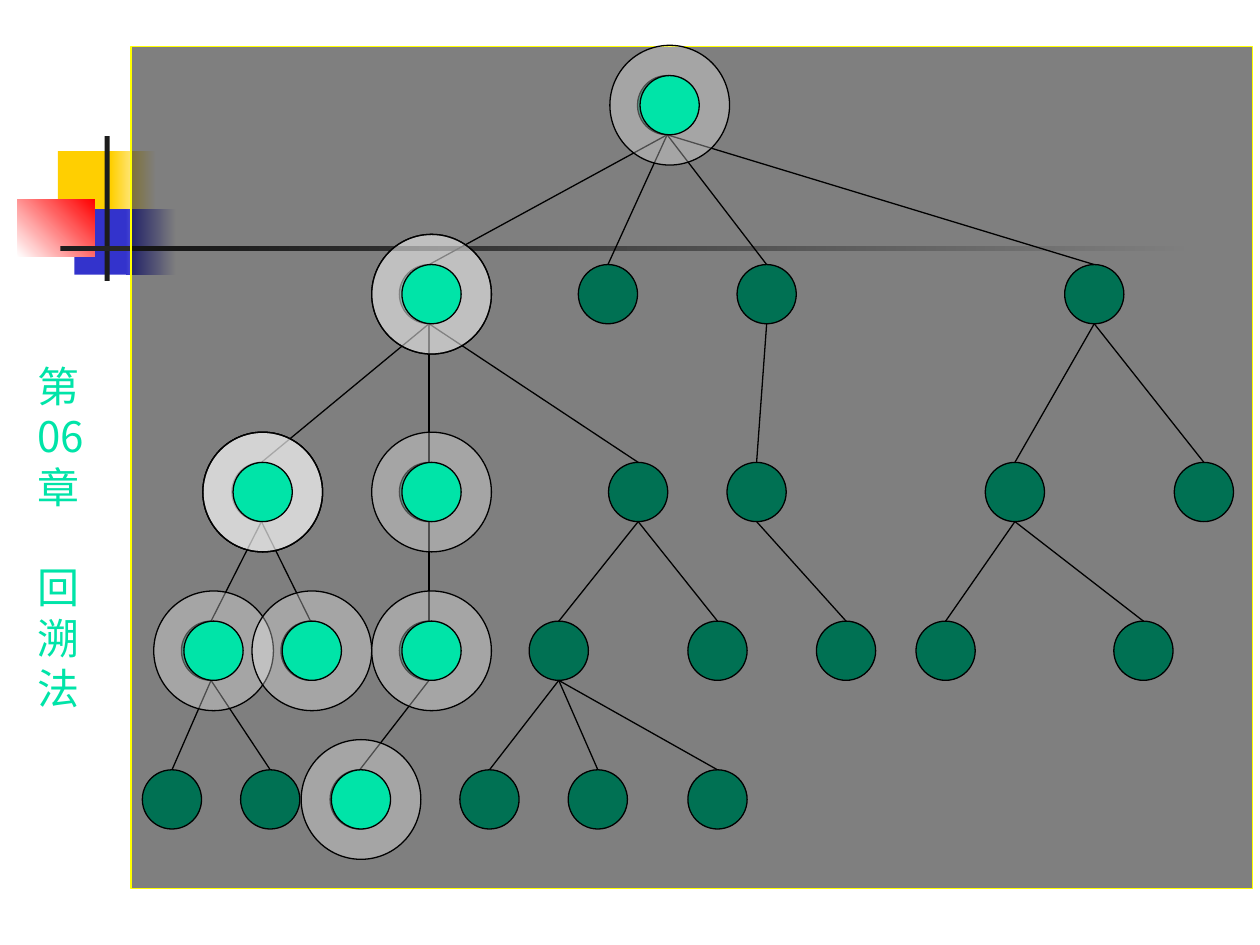
"""Build a backtracking search tree slide with the visited nodes highlighted."""
import lxml.etree
import pptx
import pptx.dml.color
import pptx.enum.shapes
import pptx.enum.text
import pptx.oxml.ns
import pptx.util

Inches = pptx.util.Inches
Pt = pptx.util.Pt
qn = pptx.oxml.ns.qn
SHAPE = pptx.enum.shapes.MSO_SHAPE


def color(value):
    return pptx.dml.color.RGBColor.from_string(value)


def add_filled(shapes, kind, box, fill, outline=None, opacity=100):
    shape = shapes.add_shape(kind, *[Inches(length) for length in box])
    shape.shadow.inherit = False
    if isinstance(fill, tuple):
        start, end, angle = fill
        shape.fill.gradient()
        shape.fill.gradient_angle = angle
        for stop, value in zip(shape.fill.gradient_stops, (start, end)):
            stop.color.rgb = color(value)
    else:
        shape.fill.solid()
        shape.fill.fore_color.rgb = color(fill)
    if opacity < 100:
        fill_color = shape._element.spPr.find(qn("a:solidFill"))[0]
        lxml.etree.SubElement(fill_color, qn("a:alpha"), val=str(opacity * 1000))
    if outline:
        shape.line.color.rgb = color(outline)
        shape.line.width = Pt(0.75)
    else:
        shape.line.fill.background()
    return shape


presentation = pptx.Presentation()
presentation.slide_width = Inches(10)
presentation.slide_height = Inches(7.5)
slide = presentation.slides.add_slide(presentation.slide_layouts[6])

decorations = [
    ((0.46, 1.2, 0.48, 0.52), "FFCF01"),
    ((0.88, 1.2, 0.36, 0.52), ("FFCF01", "FFFFFF", 0)),
    ((0.59, 1.66, 0.46, 0.52), "3333CC"),
    ((1, 1.66, 0.4, 0.52), ("3333CC", "FFFFFF", 0)),
    ((0.14, 1.58, 0.61, 0.46), ("FFFFFF", "FF0000", 45)),
    ((0.83, 1.08, 0.04, 1.15), "1C1C1C"),
    ((0.48, 1.95, 9, 0.04), ("1C1C1C", "FFFFFF", 0)),
]
for box, fill in decorations:
    add_filled(slide.shapes, SHAPE.RECTANGLE, box, fill)

chapter = slide.shapes.add_textbox(Inches(0.2), Inches(2.81), Inches(0.58), Inches(2.9))
text_frame = chapter.text_frame
text_frame.text = "第\n06\n章\n回\n溯\n法"
text_frame.word_wrap = False
text_frame.auto_size = pptx.enum.text.MSO_AUTO_SIZE.SHAPE_TO_FIT_TEXT
for paragraph in text_frame.paragraphs:
    paragraph.line_spacing = Pt(28.8)
    font = paragraph.runs[0].font
    font.size = Pt(24)
    font.name = "Noto Sans CJK JP"
    font.color.rgb = color("00E4A8")
    lxml.etree.SubElement(font._element, qn("a:ea"), typeface=font.name)
text_frame.paragraphs[3].space_before = Pt(28.8)

diameter = 0.47
row_tops = [0.6, 2.1, 3.67, 4.93, 6.11]
row_lefts = [
    [5.06],
    [3.17, 4.59, 5.85, 8.45],
    [1.84, 3.17, 4.83, 5.77, 7.82, 9.32],
    [1.44, 2.23, 3.17, 4.2, 5.46, 6.48, 7.27, 8.84],
    [1.13, 1.91, 2.62, 3.65, 4.51, 5.46],
]
parent_indexes = [
    [0, 0, 0, 0],
    [0, 0, 0, 2, 3, 3],
    [0, 0, 1, 2, 2, 3, 4, 4],
    [0, 0, 2, 3, 3, 3],
]

tree = slide.shapes.add_group_shape()
rows = [
    [
        add_filled(tree.shapes, SHAPE.OVAL, (left, top, diameter, diameter), "00E4A8", "000000")
        for left in lefts
    ]
    for top, lefts in zip(row_tops, row_lefts)
]
for parents, children, indexes in zip(rows, rows[1:], parent_indexes):
    for child, index in zip(children, indexes):
        parent = parents[index]
        edge = tree.shapes.add_connector(
            pptx.enum.shapes.MSO_CONNECTOR.STRAIGHT,
            parent.left + parent.width // 2,
            parent.top + parent.height,
            child.left + child.width // 2,
            child.top,
        )
        edge.end_connect(child, 0)
        edge.line.color.rgb = color("000000")
        edge.line.width = Pt(0.75)
        lxml.etree.SubElement(edge._element.spPr, qn("a:effectLst"))
add_filled(tree.shapes, SHAPE.RECTANGLE, (1.04, 0.37, 8.9, 6.68), "000000", "FFFF00", 50)

visits = [
    (5.08, 0), (3.19, 1), (1.85, 2), (1.46, 3), (1.85, 2), (2.24, 3),
    (1.85, 2), (3.19, 1), (3.19, 2), (3.19, 3), (2.63, 4),
]
for number, (left, row) in enumerate(visits, 1):
    top = row_tops[row]
    visit = slide.shapes.add_group_shape()
    halo = (left - 0.24, top - 0.24, 0.95, 0.95)
    add_filled(visit.shapes, SHAPE.OVAL, halo, "FFFFFF", "000000", 30)
    if (left, row) not in visits[number:]:
        add_filled(visit.shapes, SHAPE.OVAL, (left, top, diameter, diameter), "00E4A8", "000000")

presentation.save("out.pptx")
